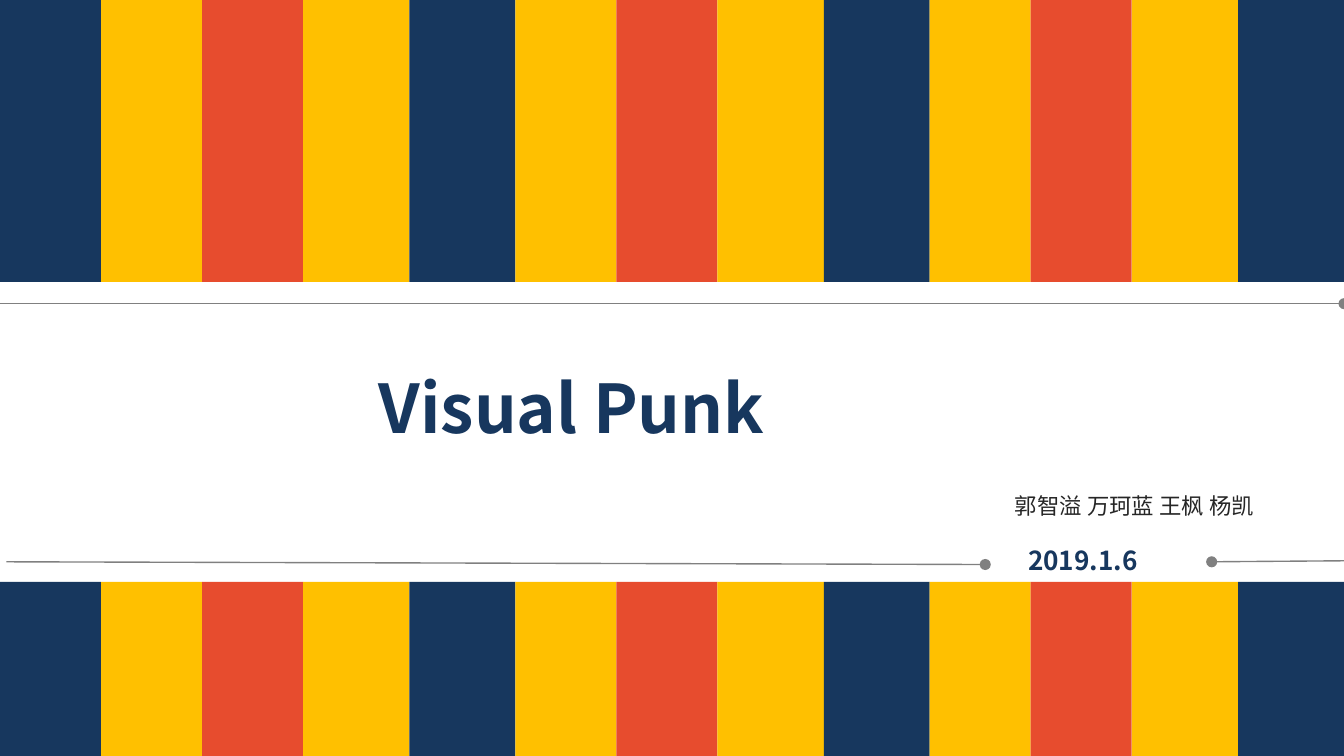
from itertools import accumulate

from lxml.etree import SubElement
from pptx import Presentation
from pptx.dml.color import RGBColor
from pptx.enum.shapes import MSO_CONNECTOR, MSO_SHAPE
from pptx.enum.text import MSO_ANCHOR, MSO_AUTO_SIZE, PP_ALIGN
from pptx.oxml.ns import qn
from pptx.util import Cm, Pt

NAVY = RGBColor(0x17, 0x37, 0x5E)
YELLOW = RGBColor(0xFF, 0xC0, 0x00)
RED = RGBColor(0xE7, 0x4C, 0x2E)
GREY = RGBColor(0x80, 0x80, 0x80)
CHARCOAL = RGBColor(0x26, 0x26, 0x26)

PAGE_WIDTH, PAGE_HEIGHT = 25.4, 14.29
STRIPE_COLOURS = [NAVY] + [YELLOW, RED, YELLOW, NAVY] * 3
STRIPE_WIDTHS = [1.91] + [1.91, 1.91, 2.01, 2.0] * 3
HEADING = {"name": "Noto Sans CJK SC", "bold": True}


def add_stripes(page, left, top, height):
    """Fill a band with coloured stripes, side by side from the left."""
    offsets = accumulate(STRIPE_WIDTHS, initial=left)
    for offset, width, colour in zip(offsets, STRIPE_WIDTHS, STRIPE_COLOURS):
        stripe = page.shapes.add_shape(
            MSO_SHAPE.RECTANGLE, Cm(offset), Cm(top), Cm(width), Cm(height))
        stripe.shadow.inherit = False
        stripe.fill.solid()
        stripe.fill.fore_color.rgb = colour
        stripe.line.fill.background()


def add_rule(page, start, end):
    """Draw a thin grey line with a dot at its end."""
    rule = page.shapes.add_connector(
        MSO_CONNECTOR.STRAIGHT, *(Cm(length) for length in start + end))
    rule.line.color.rgb = GREY
    rule.line.width = Pt(0.75)
    SubElement(rule.line._get_or_add_ln(), qn("a:tailEnd"), type="oval")
    SubElement(rule._element.spPr, qn("a:effectLst"))


def write_text(box, frame, text, alignment, colour, font, bottom=0):
    """Place a text box in its frame and write one formatted line."""
    for name, length in zip(("left", "top", "width", "height"), frame):
        setattr(box, name, Cm(length))
    body = box.text_frame
    settings = {
        "word_wrap": True, "auto_size": MSO_AUTO_SIZE.NONE,
        "vertical_anchor": MSO_ANCHOR.MIDDLE,
        "margin_left": Cm(0.23), "margin_right": Cm(0.25),
        "margin_top": 0, "margin_bottom": Cm(bottom),
    }
    for name, value in settings.items():
        setattr(body, name, value)
    para = body.paragraphs[0]
    para.alignment = alignment
    para.space_before = Pt(0)
    span = para.add_run()
    span.text = text
    for name, value in font.items():
        setattr(span.font, name, value)
    span.font.color.rgb = colour


def build_cover(deck):
    """Build the cover with its stripes, rules, title, authors and date."""
    page = deck.slides.add_slide(deck.slide_layouts[0])
    add_stripes(page, 0, 0, 5.33)
    add_stripes(page, 0, 11, PAGE_HEIGHT - 11)
    add_rule(page, (0, 5.74), (PAGE_WIDTH, 5.74))
    add_rule(page, (0.12, 10.62), (18.62, 10.67))
    add_rule(page, (PAGE_WIDTH, 10.6), (22.9, 10.62))

    write_text(page.shapes.title, (6.93, 6.86, 12.29, 1.8), "Visual Punk",
               PP_ALIGN.JUSTIFY, NAVY, HEADING | {"size": Pt(36)}, 0.15)
    write_text(page.placeholders[1], (18.16, 9.17, 5.79, 0.76),
               "郭智溢 万珂蓝 王枫 杨凯", PP_ALIGN.RIGHT, CHARCOAL,
               {"name": "Roboto Condensed", "size": Pt(12)})
    write_text(page.shapes.add_textbox(0, 0, 0, 0), (19.2, 10.19, 3.45, 0.86),
               "2019.1.6", PP_ALIGN.JUSTIFY, NAVY, HEADING | {"size": Pt(14)}, 0.08)


def main():
    """Create the deck and save it."""
    deck = Presentation()
    deck.slide_width, deck.slide_height = Cm(PAGE_WIDTH), Cm(PAGE_HEIGHT)
    build_cover(deck)
    deck.save("out.pptx")


if __name__ == "__main__":
    main()
